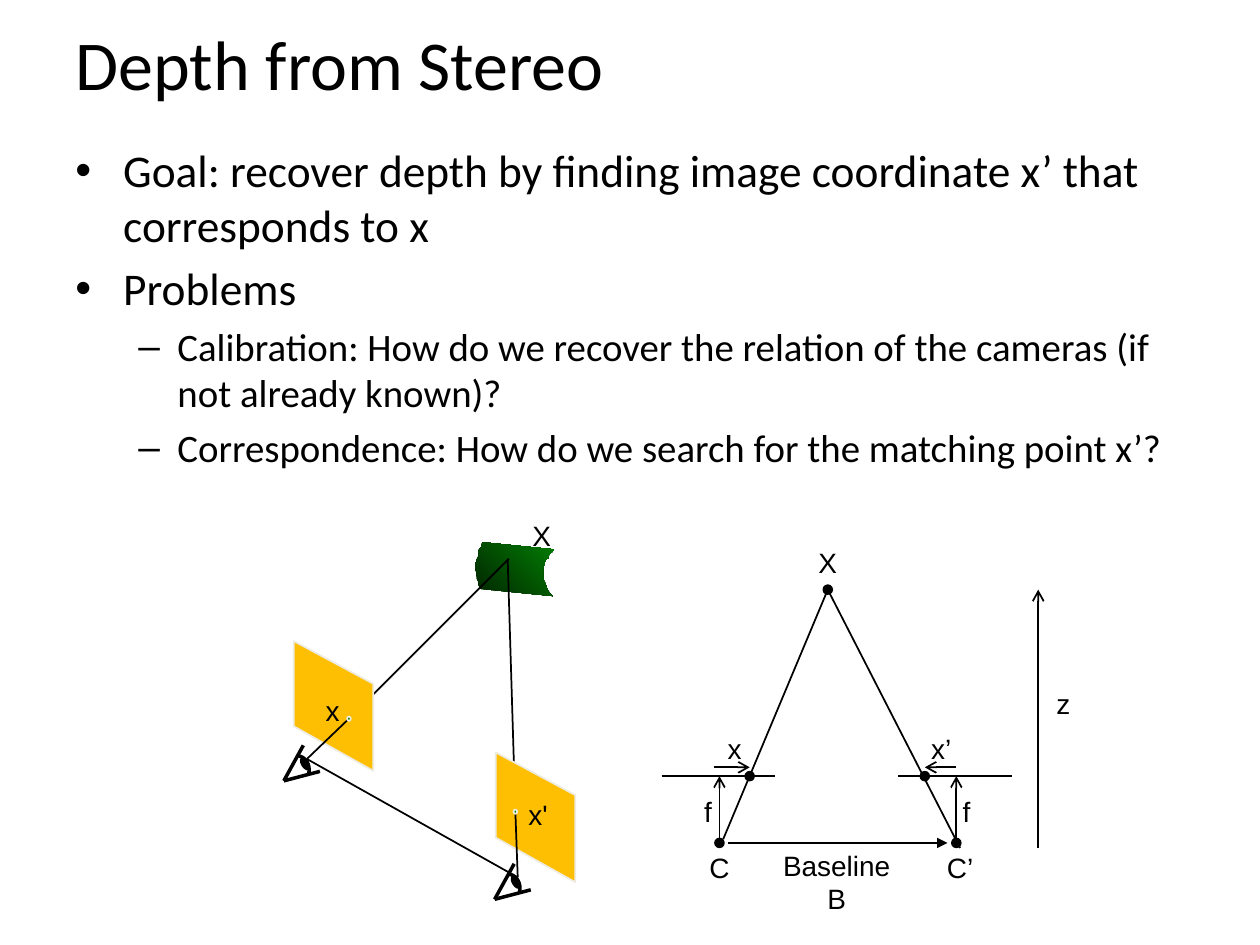
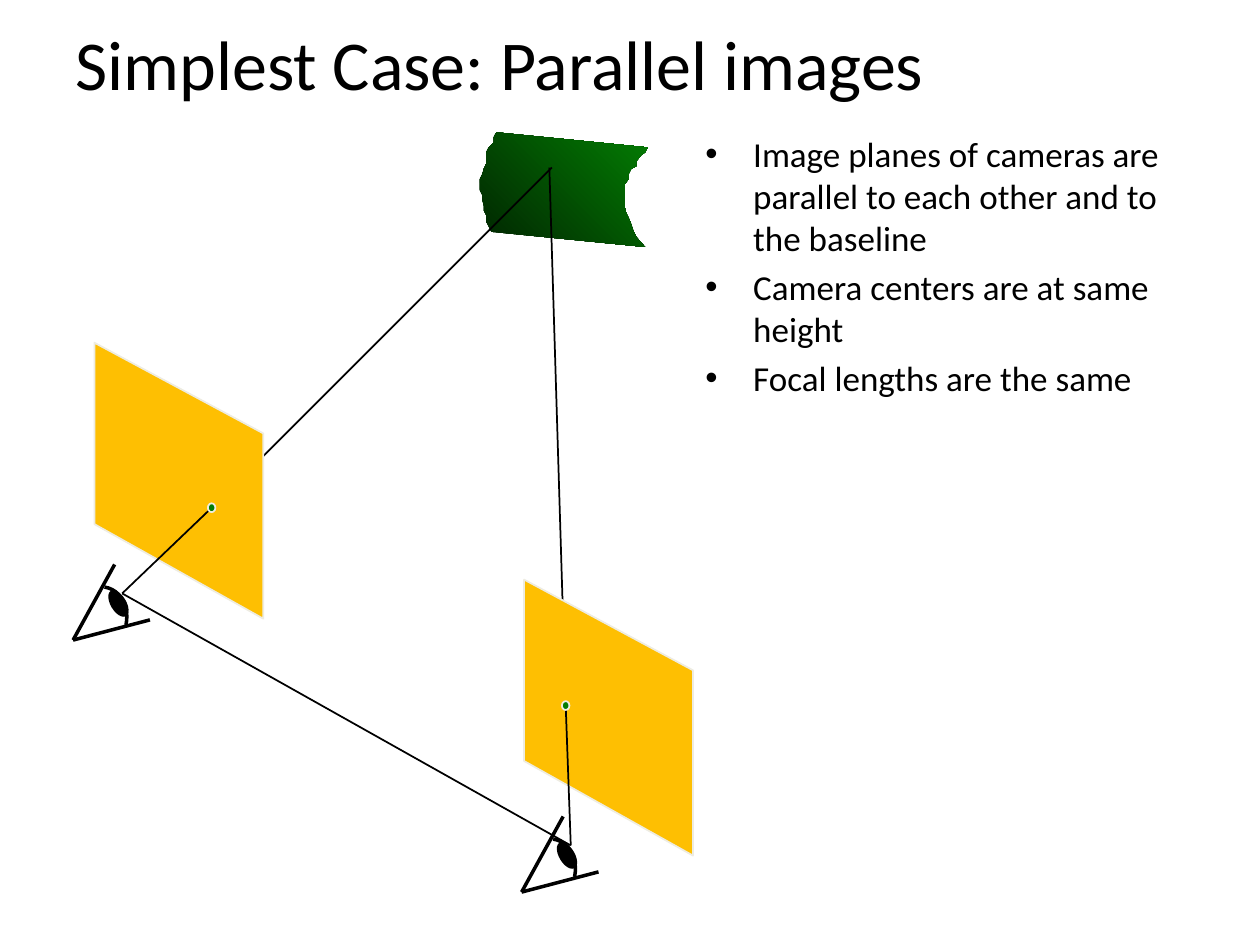
from lxml import etree
from pptx import Presentation
from pptx import util as u
from pptx.dml.color import RGBColor
from pptx.enum import shapes, text
from pptx.oxml import ns

BLACK = RGBColor(0, 0, 0)
AMBER = RGBColor(0xFE, 0xBF, 0x02)
CREAM = RGBColor(0xEE, 0xEC, 0xE1)
GREEN = RGBColor(0x03, 0x7C, 0x03)
DARK_GREEN = RGBColor(0x01, 0x25, 0x01)

TITLE_FONT = {"name": "Calibri", "size": u.Pt(40)}
LABEL_FONT = {"name": "Arial", "size": u.Pt(16)}
TITLE_ONLY = 5
LEVELS = [("•", 0.38, -0.38), ("–", 0.81, -0.31)]

SURFACE = [
    (3.94, 1.05), (3.92, 1.09), (3.92, 1.13), (3.88, 1.17), (3.86, 1.21),
    (3.86, 1.3), (3.84, 1.34), (3.83, 1.38), (3.81, 1.42), (3.81, 1.51),
    (3.83, 1.55), (3.83, 1.59), (3.84, 1.63), (3.84, 1.67), (3.86, 1.71),
    (3.86, 1.76), (3.88, 1.8), (3.9, 1.84), (5.12, 1.96), (5.05, 1.88),
    (5.03, 1.84), (5.01, 1.78), (4.99, 1.73), (4.97, 1.69), (4.96, 1.65),
    (4.96, 1.46), (4.99, 1.42), (4.99, 1.38), (5.01, 1.34), (5.05, 1.32),
    (5.05, 1.28), (5.09, 1.23), (5.12, 1.21), (5.14, 1.17),
]
IMAGE_PLANE = [(0, 0), (1.34, 0.72), (1.34, 2.19), (0, 1.44)]
IRIS_CURVE = [(0.25, 0.18), (0.38, 0.2), (0.45, 0.34), (0.42, 0.48)]


def shifted(points, left, top):
    return [(left + x, top + y) for x, y in points]


def bezier(controls, steps=12):
    curve = []
    for step in range(steps + 1):
        t = step / steps
        weights = [(1 - t) ** 3, 3 * t * (1 - t) ** 2,
                   3 * t ** 2 * (1 - t), t ** 3]
        curve.append(tuple(sum(w * c[axis] for w, c in zip(weights, controls))
                           for axis in (0, 1)))
    return curve


class Deck:
    def __init__(self):
        self.prs = Presentation()
        self.prs.slide_width = u.Inches(10)
        self.prs.slide_height = u.Inches(7.5)

    def new_slide(self, heading):
        self.slide = self.prs.slides.add_slide(
            self.prs.slide_layouts[TITLE_ONLY])
        title = self.slide.shapes.title
        self.place(title, 0.5, 0, 9, 1)
        frame = title.text_frame
        frame.vertical_anchor = text.MSO_ANCHOR.MIDDLE
        frame.auto_size = text.MSO_AUTO_SIZE.NONE
        self.set_words(frame.paragraphs[0], heading, TITLE_FONT,
                       text.PP_ALIGN.LEFT)

    def start_drawing(self, left=0, top=0, scale=1):
        self.left, self.top, self.scale = left, top, scale
        self.canvas = self.slide.shapes.add_group_shape().shapes

    def point(self, x, y):
        return (u.Inches(self.left + x * self.scale),
                u.Inches(self.top + y * self.scale))

    def place(self, shape, *box):
        for side, value in zip(("left", "top", "width", "height"), box):
            setattr(shape, side, u.Inches(value))

    def set_words(self, paragraph, words, style, align):
        paragraph.text = words
        paragraph.alignment = align
        for run in paragraph.runs:
            for key, value in style.items():
                setattr(run.font, key, value)
            run.font.color.rgb = BLACK

    def bullets(self, box, items, sizes):
        frame = self.slide.shapes.add_textbox(
            *map(u.Inches, box)).text_frame
        frame.word_wrap = True
        for index, (level, words) in enumerate(items):
            paragraph = (frame.add_paragraph() if index
                         else frame.paragraphs[0])
            symbol, margin, indent = LEVELS[level]
            props = paragraph._p.get_or_add_pPr()
            props.set("marL", str(u.Inches(margin)))
            props.set("indent", str(u.Inches(indent)))
            etree.SubElement(props, ns.qn("a:buFont"), typeface="Arial")
            etree.SubElement(props, ns.qn("a:buChar"), char=symbol)
            paragraph.level = level
            paragraph.space_before = u.Pt(sizes[level] * 0.2 if index else 0)
            style = {"name": "Calibri", "size": u.Pt(sizes[level])}
            self.set_words(paragraph, words, style, text.PP_ALIGN.LEFT)

    def label(self, words, x, y, width=0.5, height=0.4):
        box = self.canvas.add_textbox(
            *map(u.Inches, (x - width / 2, y - height / 2, width, height)))
        frame = box.text_frame
        frame.word_wrap = False
        frame.vertical_anchor = text.MSO_ANCHOR.MIDDLE
        self.set_words(frame.paragraphs[0], words, LABEL_FONT,
                       text.PP_ALIGN.CENTER)

    def paint(self, shape, fill, line, weight=1):
        shape.shadow.inherit = False
        if fill is None:
            shape.fill.background()
        else:
            shape.fill.solid()
            shape.fill.fore_color.rgb = fill
        if line is None:
            shape.line.fill.background()
        else:
            shape.line.color.rgb = line
            shape.line.width = u.Pt(weight)

    def dot(self, x, y, width, height, fill=BLACK, line=BLACK, turn=0):
        corner = self.point(x - width / 2, y - height / 2)
        size = [u.Inches(side * self.scale) for side in (width, height)]
        oval = self.canvas.add_shape(
            shapes.MSO_SHAPE.OVAL, *corner, *size)
        oval.rotation = turn
        self.paint(oval, fill, line)

    def line(self, start, end, weight=1, arrow=None):
        link = self.canvas.add_connector(
            shapes.MSO_CONNECTOR.STRAIGHT,
            *self.point(*start), *self.point(*end))
        link.line.color.rgb = BLACK
        link.line.width = u.Pt(weight)
        if arrow:
            etree.SubElement(link.line._get_or_add_ln(),
                             ns.qn("a:tailEnd"), type=arrow)
        etree.SubElement(link._element.spPr, ns.qn("a:effectLst"))

    def outline(self, points, fill=None, line=None, weight=1, close=True):
        start, *rest = [self.point(*p) for p in points]
        builder = self.canvas.build_freeform(*start)
        builder.add_line_segments(rest, close=close)
        shape = builder.convert_to_shape()
        self.paint(shape, fill, line, weight)
        return shape

    def eye(self, x, y):
        self.outline(shifted(bezier(IRIS_CURVE), x, y),
                     line=BLACK, weight=2, close=False)
        corner = (x, y + 0.6)
        self.line((x + 0.33, y), corner, 2)
        self.dot(x + 0.36, y + 0.31, 0.11, 0.22, turn=329)
        self.line(corner, (x + 0.61, y + 0.44), 2)

    def stereo_scene(self, **frame):
        self.start_drawing(**frame)
        surface = self.outline(SURFACE)
        surface.fill.gradient()
        surface.fill.gradient_angle = 45
        for stop, color in zip(surface.fill.gradient_stops,
                               (DARK_GREEN, GREEN)):
            stop.color.rgb = color
        left_center, right_center = (0.97, 4.71), (4.53, 6.71)
        left_image, right_image = (1.68, 4.03), (4.49, 5.6)
        self.line(left_center, right_center)
        for image, target, corner in (
                (left_image, (4.38, 1.33), (0.75, 2.72)),
                (right_image, (4.36, 1.33), (4.16, 4.6))):
            self.line(image, target)
            self.outline(shifted(IMAGE_PLANE, *corner), AMBER, CREAM)
        self.line(left_center, left_image)
        self.line(right_center, right_image)
        self.eye(0.58, 4.48)
        self.eye(4.14, 6.48)
        for image in (right_image, left_image):
            self.dot(*image, 0.06, 0.07, GREEN, CREAM)

    def depth_geometry(self):
        self.start_drawing()
        apex_y, image_y, center_y = 4.68, 6.16, 6.69
        apex = (6.57, apex_y)
        for x, y in ((5.71, center_y), (7.59, center_y), apex,
                     (5.95, image_y), (7.34, image_y)):
            self.dot(x, y, 0.07, 0.07)
        for left in (5.25, 7.13):
            self.line((left, image_y), (left + 0.9, image_y))
        self.line((5.74, 6.66), apex)
        self.line((7.62, 6.73), apex)
        for start, end in (((5.71, 6.66), (5.71, image_y)),
                           ((7.59, 6.66), (7.59, image_y)),
                           ((5.67, 6.09), (5.95, 6.09)),
                           ((7.59, 6.09), (7.34, 6.09)),
                           ((8.24, 6.73), (8.24, apex_y))):
            self.line(start, end, arrow="arrow")
        self.line((5.78, center_y), (7.52, center_y), 1.5, "triangle")
        for words, x, y in (("f", 5.62, 6.44), ("f", 7.67, 6.44),
                            ("x", 5.83, 5.94), ("x’", 7.47, 5.94),
                            ("z", 8.44, 5.58), ("C", 5.71, 6.88),
                            ("C’", 7.62, 6.88), ("X", 6.57, 4.46)):
            self.label(words, x, y)
        self.label("Baseline\nB", 6.64, 7, 1.18, 0.71)


def main():
    deck = Deck()
    deck.new_slide("Depth from Stereo")
    deck.bullets((0.5, 1.08, 9, 2.92), [
        (0, "Goal: recover depth by finding image coordinate x’ that "
            "corresponds to x"),
        (0, "Problems"),
        (1, "Calibration: How do we recover the relation of the cameras "
            "(if not already known)?"),
        (1, "Correspondence: How do we search for the matching point x’?"),
    ], (25.9, 22.2))
    deck.depth_geometry()
    deck.stereo_scene(left=1.98, top=3.81, scale=0.47)
    deck.start_drawing()
    for words, x, y in (("X", 4.3, 4.25), ("x", 2.64, 5.64),
                        ("x'", 4.27, 6.46)):
        deck.label(words, x, y)

    deck.new_slide("Simplest Case: Parallel images")
    deck.bullets((5.5, 1, 4.17, 5.75), [
        (0, "Image planes of cameras are parallel to each other and to "
            "the baseline"),
        (0, "Camera centers are at same height"),
        (0, "Focal lengths are the same"),
    ], (20,))
    deck.stereo_scene()
    deck.prs.save("out.pptx")


if __name__ == "__main__":
    main()
